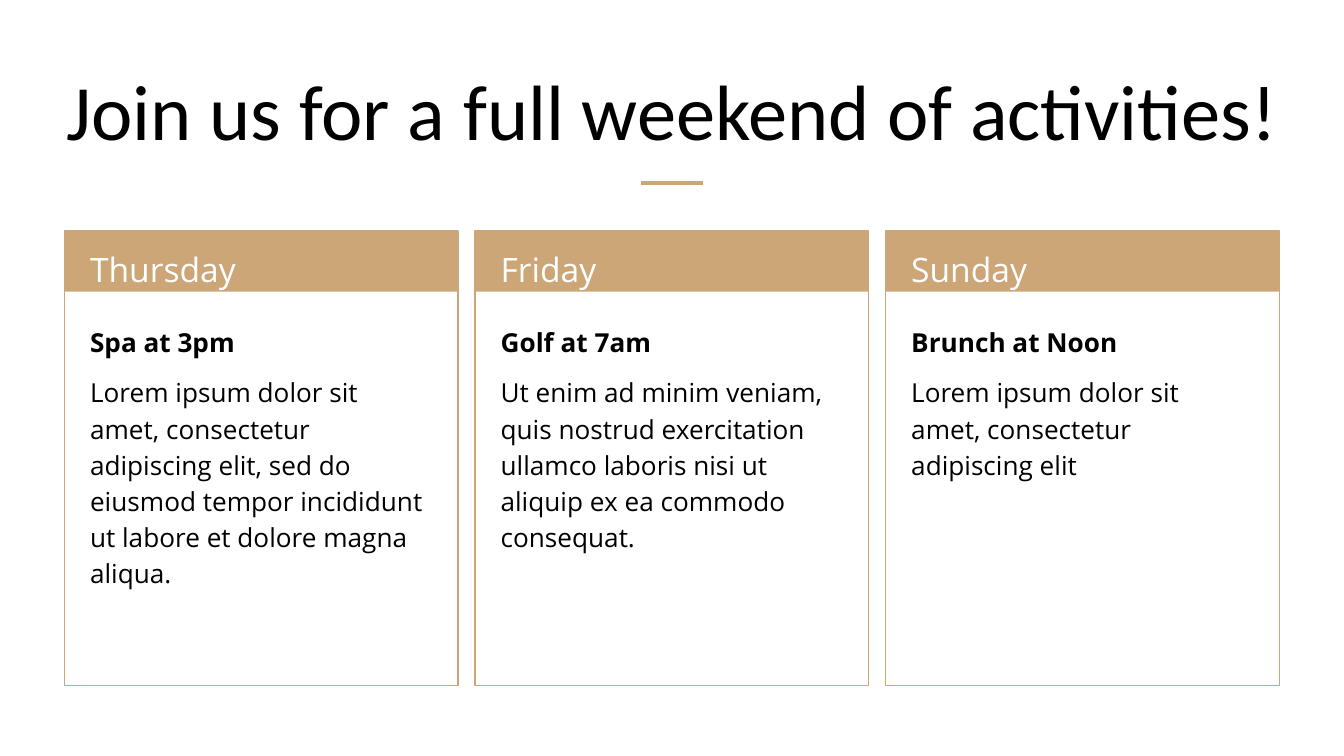
import copy

import pptx
import pptx.dml.color
import pptx.enum.shapes
import pptx.enum.text
import pptx.oxml
import pptx.util
from pptx.util import Inches, Pt

TITLE = "Join us for a full weekend of activities!"
DAYS = [
    ("Thursday", "Spa at 3pm",
     "Lorem ipsum dolor sit amet, consectetur adipiscing elit, sed do eiusmod "
     "tempor incididunt ut labore et dolore magna aliqua."),
    ("Friday", "Golf at 7am",
     "Ut enim ad minim veniam, quis nostrud exercitation ullamco laboris nisi "
     "ut aliquip ex ea commodo consequat."),
    ("Sunday", "Brunch at Noon",
     "Lorem ipsum dolor sit amet, consectetur adipiscing elit"),
]

TAN = pptx.dml.color.RGBColor(0xCC, 0xA6, 0x77)
BLACK = pptx.dml.color.RGBColor(0, 0, 0)
WHITE = pptx.dml.color.RGBColor(0xFF, 0xFF, 0xFF)
ANCHOR = pptx.enum.text.MSO_ANCHOR
ALIGN = pptx.enum.text.PP_ALIGN

SLIDE_W = 10
SLIDE_H = SLIDE_W * 9 / 16
MARGIN, CARD_W = 0.48, 2.93
CARD_STEP = (SLIDE_W - 2 * MARGIN - CARD_W) / (len(DAYS) - 1)
CARD_TOP, CARD_H, BAND_H = 1.72, 3.38, 0.45
TEXT_INDENT, TEXT_W = 0.09, 2.73
LABEL_TOP, DETAILS_TOP, DETAILS_H = 1.71, 2.29, 2.8
RULE_W, RULE_Y = 0.46, 1.36


def prepare_layout(layout):
    """Give the layout a title and two plain text placeholders per day."""
    for part in list(layout.placeholders):
        if part.placeholder_format.idx in (2, 3, 4):
            part._element.getparent().remove(part._element)
    text_part = next(part._element for part in layout.placeholders
                     if part.placeholder_format.idx == 1)
    for number in range(20, 20 + 2 * len(DAYS) - 1):
        extra = copy.deepcopy(text_part)
        extra.ph.set("idx", str(number))
        extra.nvSpPr.cNvPr.set("id", str(number))
        layout.shapes._spTree.append(extra)


def place(placeholder, left, top, width, height, anchor):
    placeholder.left, placeholder.top = Inches(left), Inches(top)
    placeholder.width, placeholder.height = Inches(width), Inches(height)
    frame = placeholder.text_frame
    frame.word_wrap = True
    frame.auto_size = pptx.enum.text.MSO_AUTO_SIZE.NONE
    frame.vertical_anchor = anchor
    frame.margin_left = frame.margin_right = Inches(0.1)
    frame.margin_top = frame.margin_bottom = Inches(0.1)
    return frame


def format_paragraph(paragraph, font, size, color, bold=False,
                     align=ALIGN.LEFT, spacing=1.15, gap=0):
    paragraph.alignment = align
    paragraph.line_spacing = spacing
    paragraph.space_before = paragraph.space_after = Pt(gap)
    for run in paragraph.runs:
        run.font.name = font
        run.font.size = Pt(size)
        run.font.bold = bold
        run.font.color.rgb = color


def add_rectangle(group, left, height):
    rectangle = group.shapes.add_shape(
        pptx.enum.shapes.MSO_SHAPE.RECTANGLE, Inches(left), Inches(CARD_TOP),
        Inches(CARD_W), Inches(height))
    rectangle.shadow.inherit = False
    return rectangle


def add_card(slide, left):
    group = slide.shapes.add_group_shape()
    border = add_rectangle(group, left, CARD_H)
    border.fill.background()
    border.line.color.rgb = TAN
    border.line.width = Pt(0.75)
    band = add_rectangle(group, left, BAND_H)
    band.fill.solid()
    band.fill.fore_color.rgb = TAN
    band.line.fill.background()


def add_rule(slide):
    rule = slide.shapes.add_connector(
        pptx.enum.shapes.MSO_CONNECTOR.STRAIGHT,
        Inches((SLIDE_W - RULE_W) / 2), Inches(RULE_Y),
        Inches((SLIDE_W + RULE_W) / 2), Inches(RULE_Y))
    rule.line.color.rgb = TAN
    rule.line.width = Pt(2.25)
    rule._element.spPr.append(
        pptx.oxml.parse_xml('<a:effectLst xmlns:a="http://schemas.'
                            'openxmlformats.org/drawingml/2006/main"/>'))


def main():
    deck = pptx.Presentation()
    deck.slide_width, deck.slide_height = Inches(SLIDE_W), Inches(SLIDE_H)
    layout = deck.slide_layouts.get_by_name("Comparison")
    prepare_layout(layout)
    slide = deck.slides.add_slide(layout)

    heading = place(slide.shapes.title, 0.34, 0.35, 9.32, 0.91, ANCHOR.BOTTOM)
    heading.text = TITLE
    format_paragraph(heading.paragraphs[0], "Calibri", 42, BLACK,
                     align=ALIGN.CENTER, spacing=1.0)
    add_rule(slide)

    text_parts = [part for part in slide.placeholders
                  if part.placeholder_format.idx != 0]
    for column, (day, activity, description) in enumerate(DAYS):
        left = MARGIN + column * CARD_STEP
        add_card(slide, left)
        day_part, details_part = text_parts[2 * column:2 * column + 2]
        for part in (day_part, details_part):
            slide.shapes._spTree.append(part._element)  # above the card

        label = place(day_part, left + TEXT_INDENT, LABEL_TOP, TEXT_W, BAND_H,
                      ANCHOR.TOP)
        label.text = day
        format_paragraph(label.paragraphs[0], "Open Sans", 18, WHITE)

        details = place(details_part, left + TEXT_INDENT, DETAILS_TOP, TEXT_W,
                        DETAILS_H, ANCHOR.TOP)
        details.text = f"{activity}\n{description}"
        name, blurb = details.paragraphs
        format_paragraph(name, "Open Sans", 14, BLACK, bold=True)
        format_paragraph(blurb, "Open Sans", 14, BLACK, gap=8)

    deck.save("out.pptx")


if __name__ == "__main__":
    main()
